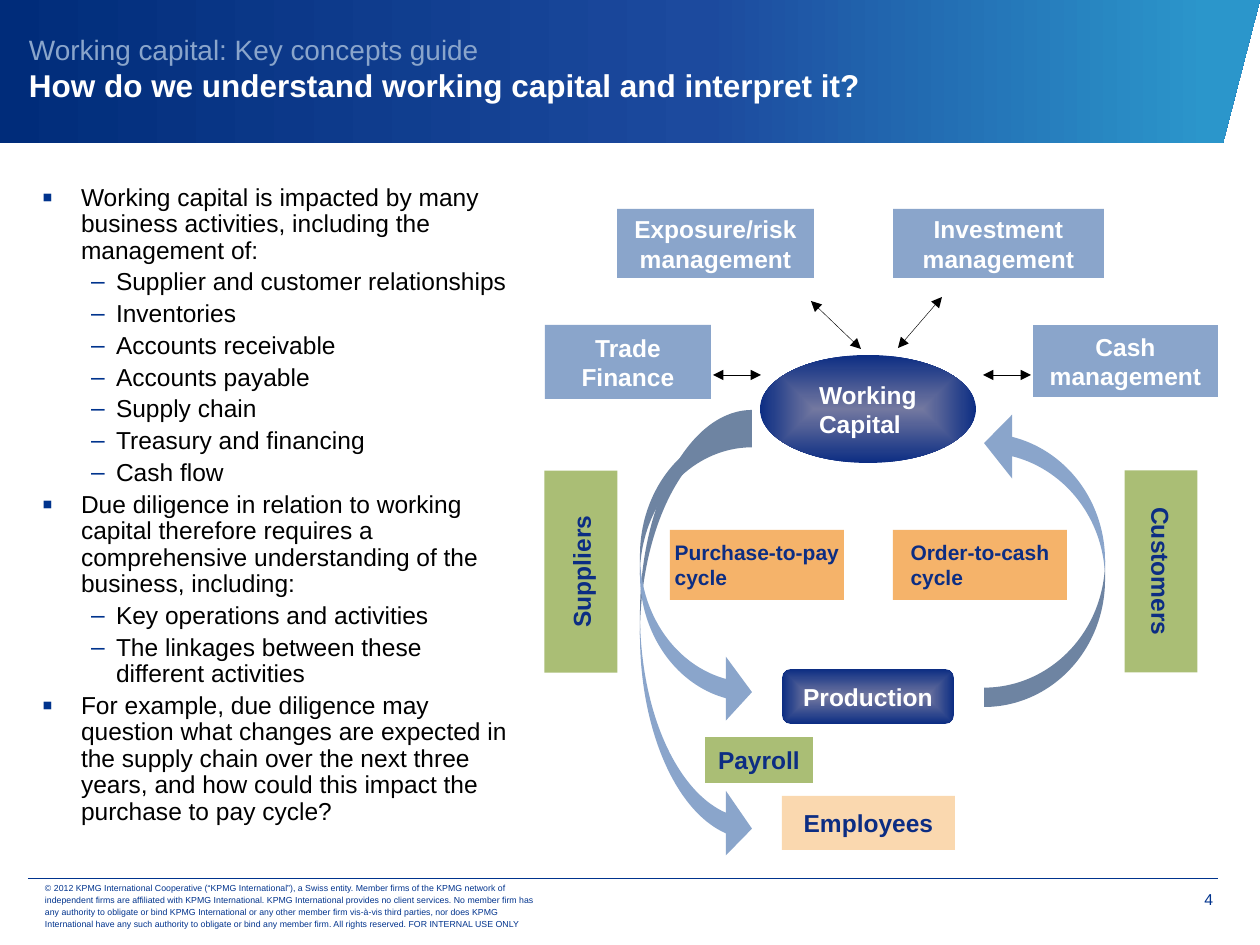
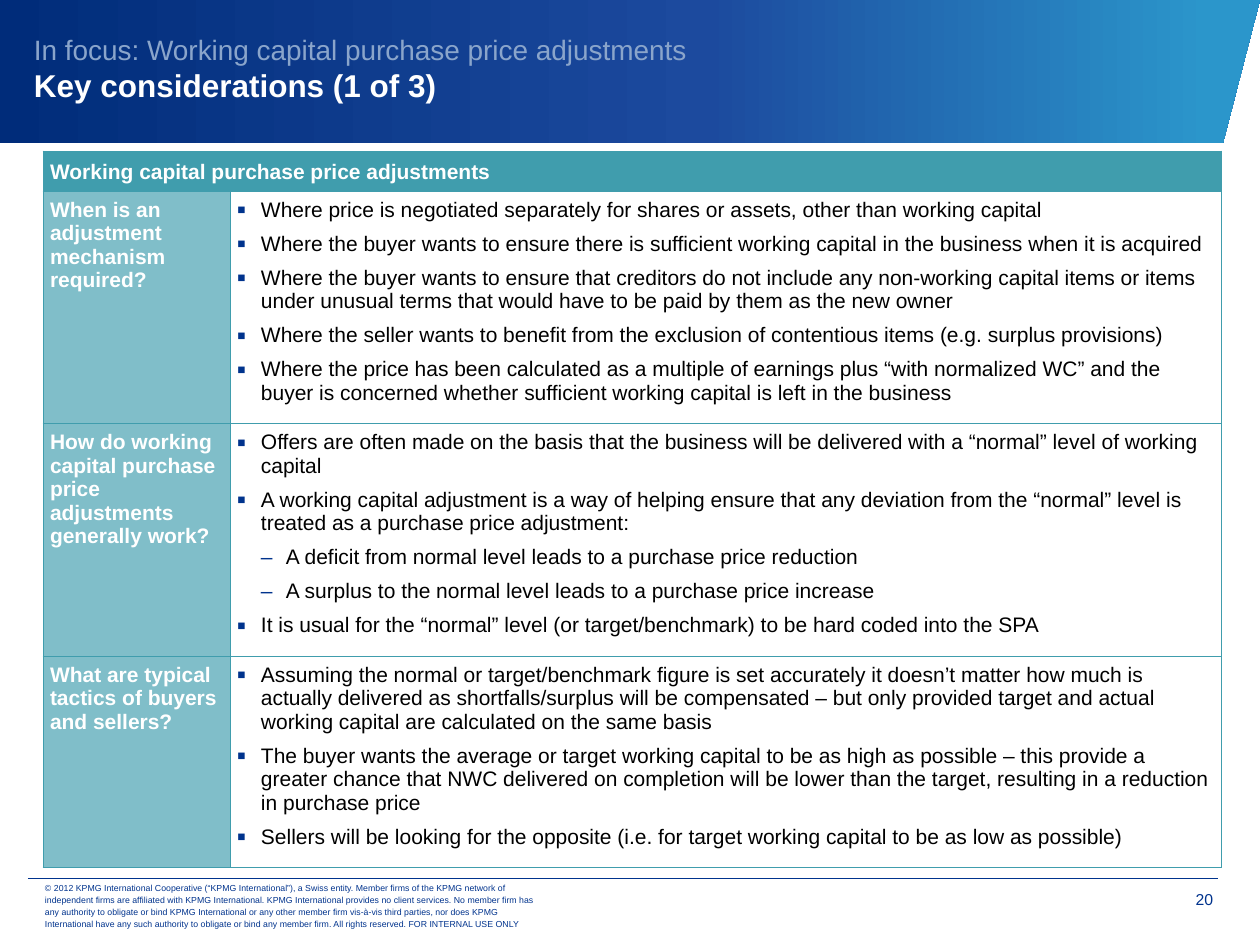
"""Build two slides on working capital: a concept diagram and a table of considerations."""
from dataclasses import dataclass
from typing import Any, NamedTuple, Optional

from lxml import etree
from pptx import Presentation, util as u
from pptx.dml import color
from pptx.enum import shapes, text
from pptx.oxml import ns, parse_xml

PX = 914400 / 126
KIND = shapes.MSO_SHAPE
LEFT, CENTER, RIGHT = text.PP_ALIGN.LEFT, text.PP_ALIGN.CENTER, text.PP_ALIGN.RIGHT
TOP, MIDDLE, BOTTOM = text.MSO_ANCHOR.TOP, text.MSO_ANCHOR.MIDDLE, text.MSO_ANCHOR.BOTTOM


@dataclass(frozen=True)
class Theme:
    font: str = "Arial"
    navy: str = "0C2D83"
    corporate: str = "00338D"
    sky: str = "8AA5CB"
    green: str = "AABE75"
    orange: str = "F5B36A"
    peach: str = "FAD8AF"
    teal: str = "409DAD"
    pale_teal: str = "80BEC9"
    white: str = "FFFFFF"
    black: str = "000000"
    band: tuple = ((0, "002C7A"), (56, "1C4A9E"), (96, "2B96CB"))
    glow: tuple = ((0, "7378A0"), (100, "0C2D83"))
    band_direction: str = '<a:lin ang="0" scaled="0"/>'
    glow_direction: str = ('<a:path path="shape"><a:fillToRect l="50000" t="50000" '
                           'r="50000" b="50000"/></a:path>')
    title: int = 18
    section: int = 16
    body: int = 14
    small: int = 12
    page: int = 9
    legal: int = 5


THEME = Theme()


class Box(NamedTuple):
    left: int
    top: int
    width: int
    height: int


class Bullet(NamedTuple):
    char: str
    margin: int
    hang: int
    percent: int = 100


class Point(NamedTuple):
    words: str
    level: int = 0


@dataclass(frozen=True)
class Label:
    words: str
    box: Box
    fill: Optional[str]
    ink: str = THEME.navy
    size: int = THEME.body
    align: Any = LEFT
    kind: Any = KIND.RECTANGLE
    turn: int = 0


@dataclass(frozen=True)
class CycleArrow:
    box: Box
    flip: str
    adjustments: tuple


class Topic(NamedTuple):
    question: str
    points: list
    height: int


BODY_BULLETS = (Bullet("▪", 39, 39, 125), Bullet("–", 74, 25))
TABLE_BULLETS = (Bullet("▪", 24, 24, 125), Bullet("–", 49, 25))

LEGAL = (
    "© 2012 KPMG International Cooperative (“KPMG International”), a Swiss entity. Member firms of the "
    "KPMG network of independent firms are affiliated with KPMG International. KPMG International provides "
    "no client services. No member firm has any authority to obligate or bind KPMG International or any "
    "other member firm vis-à-vis third parties, nor does KPMG International have any such authority to "
    "obligate or bind any member firm. All rights reserved. FOR INTERNAL USE ONLY")

ACTIVITIES = [
    Point("Working capital is impacted by many business activities, including the management of:"),
    Point("Supplier and customer relationships", 1),
    Point("Inventories", 1),
    Point("Accounts receivable", 1),
    Point("Accounts payable", 1),
    Point("Supply chain", 1),
    Point("Treasury and financing", 1),
    Point("Cash flow", 1),
    Point("Due diligence in relation to working capital therefore requires a comprehensive "
          "understanding of the business, including:"),
    Point("Key operations and activities", 1),
    Point("The linkages between these different activities", 1),
    Point("For example, due diligence may question what changes are expected in the supply chain over "
          "the next three years, and how could this impact the purchase to pay cycle?"),
]

CYCLE_ARROWS = [
    CycleArrow(Box(984, 411, 121, 296), "flipH", (0.16, 0.53, 0.233)),
    CycleArrow(Box(640, 410, 112, 451), "flipV", (0.184, 0.576, 0.233)),
    CycleArrow(Box(640, 428, 112, 296), "flipV", (0.172, 0.57, 0.233)),
]

LABELS = [
    Label("Payroll", Box(705, 737, 108, 46), THEME.green),
    Label("Production", Box(782, 669, 172, 55), None, THEME.white, kind=KIND.ROUNDED_RECTANGLE),
    Label("Working Capital", Box(760, 355, 216, 108), None, THEME.white, kind=KIND.OVAL),
    Label("Employees", Box(782, 796, 173, 54), THEME.peach),
    Label("Customers", Box(1060, 535, 202, 73), THEME.green, turn=90),
    Label("Suppliers", Box(480, 535, 202, 73), THEME.green, turn=270),
    Label("Purchase-to-pay\ncycle", Box(670, 530, 174, 70), THEME.orange, size=THEME.small),
    Label("Order-to-cash\ncycle", Box(893, 530, 174, 70), THEME.orange, size=THEME.small),
    Label("Exposure/risk management", Box(617, 209, 197, 69), THEME.sky, THEME.white, align=CENTER),
    Label("Investment management", Box(893, 209, 211, 69), THEME.sky, THEME.white, align=CENTER),
    Label("Trade\nFinance", Box(545, 325, 166, 74), THEME.sky, THEME.white, align=CENTER),
    Label("Cash\nmanagement", Box(1033, 325, 185, 72), THEME.sky, THEME.white, align=CENTER),
]

LINKS = [(861, 349, 811, 301), (1031, 375, 983, 375), (898, 348, 942, 297), (761, 375, 713, 375)]

TABLE_TITLE = "Working capital purchase price adjustments"
TOPICS = [
    Topic("When is an adjustment mechanism required?", [
        Point("Where price is negotiated separately for shares or assets, other than working capital"),
        Point("Where the buyer wants to ensure there is sufficient working capital in the business when "
              "it is acquired"),
        Point("Where the buyer wants to ensure that creditors do not include any non-working capital items "
              "or items under unusual terms that would have to be paid by them as the new owner"),
        Point("Where the seller wants to benefit from the exclusion of contentious items (e.g. surplus "
              "provisions)"),
        Point("Where the price has been calculated as a multiple of earnings plus “with normalized WC” and "
              "the buyer is concerned whether sufficient working capital is left in the business"),
    ], 222),
    Topic("How do working capital purchase price adjustments generally work?", [
        Point("Offers are often made on the basis that the business will be delivered with a “normal” level "
              "of working capital"),
        Point("A working capital adjustment is a way of helping ensure that any deviation from the “normal” "
              "level is treated as a purchase price adjustment:"),
        Point("A deficit from normal level leads to a purchase price reduction", 1),
        Point("A surplus to the normal level leads to a purchase price increase", 1),
        Point("It is usual for the “normal” level (or target/benchmark) to be hard coded into the SPA"),
    ], 221),
    Topic("What are typical tactics of buyers and sellers?", [
        Point("Assuming the normal or target/benchmark figure is set accurately it doesn’t matter how much "
              "is actually delivered as shortfalls/surplus will be compensated – but only provided target "
              "and actual working capital are calculated on the same basis"),
        Point("The buyer wants the average or target working capital to be as high as possible – this "
              "provide a greater chance that NWC delivered on completion will be lower than the target, "
              "resulting in a reduction in purchase price"),
        Point("Sellers will be looking for the opposite (i.e. for target working capital to be as low as "
              "possible)"),
    ], 201),
]


def emu(*lengths: int) -> list:
    """Turn px lengths into EMU."""
    return [u.Emu(round(length * PX)) for length in lengths]


def rgb(code: str) -> color.RGBColor:
    """Read a hex colour."""
    return color.RGBColor.from_string(code)


def add_child(parent: Any, tag: str, **attributes: Any) -> Any:
    """Append a DrawingML element and return it."""
    return etree.SubElement(parent, ns.qn(tag), {key: str(value) for key, value in attributes.items()})


def fill_gradient(shape: Any, stops: tuple, direction: str) -> None:
    """Fill a shape with colour stops running in the given direction."""
    marks = "".join(f'<a:gs pos="{at * 1000}"><a:srgbClr val="{code}"/></a:gs>' for at, code in stops)
    shape.fill.background()
    blank = shape._element.spPr.find(ns.qn("a:noFill"))
    gradient = parse_xml(f'<a:gradFill {ns.nsdecls("a")} rotWithShape="1"><a:gsLst>{marks}</a:gsLst>'
                         f'{direction}</a:gradFill>')
    blank.getparent().replace(blank, gradient)


def set_bullet(paragraph: Any, bullet: Bullet) -> None:
    """Give a paragraph a hanging bullet."""
    properties = paragraph._p.get_or_add_pPr()
    margin, hang = emu(bullet.margin, bullet.hang)
    properties.set("marL", str(margin))
    properties.set("indent", str(-hang))
    add_child(add_child(properties, "a:buClr"), "a:srgbClr", val=THEME.corporate)
    add_child(properties, "a:buSzPct", val=bullet.percent * 1000)
    add_child(properties, "a:buFont", typeface=THEME.font)
    add_child(properties, "a:buChar", char=bullet.char)


def write(frame: Any, words: str, *, size: int, ink: str, bold: bool = False, align: Any = LEFT,
          before: int = 0, spacing: Any = None, bullet: Optional[Bullet] = None) -> None:
    """Add each line of words to a frame as a formatted paragraph."""
    for line in words.split("\n"):
        first = not frame.paragraphs[0].runs
        paragraph = frame.paragraphs[0] if first else frame.add_paragraph()
        if bullet:
            set_bullet(paragraph, bullet)
        paragraph.alignment = align
        paragraph.space_before = u.Pt(0 if first else before)
        if spacing:
            paragraph.line_spacing = spacing
        run = paragraph.add_run()
        run.text = line
        run.font.name, run.font.size, run.font.bold = THEME.font, u.Pt(size), bold
        run.font.color.rgb = rgb(ink)


def write_points(frame: Any, points: list, bullets: tuple, **style: Any) -> None:
    """Write points with the bullet of their level."""
    for point in points:
        write(frame, point.words, bullet=bullets[point.level], ink=THEME.black, **style)


def set_frame(frame: Any, anchor: Any, across: int = 0, down: int = 0) -> Any:
    """Wrap, anchor and inset a text frame."""
    frame.word_wrap, frame.vertical_anchor = True, anchor
    frame.margin_left, frame.margin_right, frame.margin_top, frame.margin_bottom = emu(
        across, across, down, down)
    return frame


def add_text(slide: Any, box: Box, anchor: Any, across: int = 0, down: int = 0) -> Any:
    """Add a text box and return its frame."""
    return set_frame(slide.shapes.add_textbox(*emu(*box)).text_frame, anchor, across, down)


def add_line(slide: Any, ends: tuple, ink: str, arrows: bool = False) -> None:
    """Draw a hairline, with arrowheads at both ends if asked."""
    line = slide.shapes.add_connector(shapes.MSO_CONNECTOR.STRAIGHT, *emu(*ends))
    line.line.color.rgb, line.line.width = rgb(ink), u.Pt(0.25)
    if arrows:
        for tag in ("a:headEnd", "a:tailEnd"):
            add_child(line.line._get_or_add_ln(), tag, type="triangle")
    add_child(line._element.spPr, "a:effectLst")


def add_shape(slide: Any, kind: Any, box: Box, fill: Optional[str]) -> Any:
    """Add an unlined shape in a flat colour, or with the navy glow."""
    shape = slide.shapes.add_shape(kind, *emu(*box))
    shape.shadow.inherit = False
    shape.line.fill.background()
    if fill:
        shape.fill.solid()
        shape.fill.fore_color.rgb = rgb(fill)
    else:
        fill_gradient(shape, THEME.glow, THEME.glow_direction)
    return shape


def add_label(slide: Any, label: Label) -> None:
    """Draw a labelled part of the diagram."""
    shape = add_shape(slide, label.kind, label.box, label.fill)
    shape.rotation = label.turn
    frame = set_frame(shape.text_frame, MIDDLE)
    if label.align == LEFT:
        frame._txBody.bodyPr.set("anchorCtr", "1")
    write(frame, label.words, size=label.size, ink=label.ink, bold=True, align=label.align)


def add_cycle_arrow(slide: Any, arrow: CycleArrow) -> None:
    """Draw a curved arrow of the cycle."""
    shape = add_shape(slide, KIND.CURVED_LEFT_ARROW, arrow.box, THEME.sky)
    shape.rotation = 180
    shape._element.spPr.xfrm.set(arrow.flip, "1")
    for index, value in enumerate(arrow.adjustments):
        shape.adjustments[index] = value


def start_slide(deck: Any, section: str, title: str, page: str, title_left: int) -> Any:
    """Add a slide with band, title and footer."""
    slide = deck.slides.add_slide(deck.slide_layouts[6])
    outline = slide.shapes.build_freeform(0, 0, scale=PX)
    outline.add_line_segments([(1260, 0), (1223, 143), (0, 143)], close=True)
    band = outline.convert_to_shape()
    band.shadow.inherit = False
    band.line.fill.background()
    fill_gradient(band, THEME.band, THEME.band_direction)
    heading = add_text(slide, Box(title_left, 10, 1200, 116), MIDDLE)
    write(heading, section, size=THEME.section, ink=THEME.sky)
    write(heading, title, size=THEME.title, ink=THEME.white, bold=True)
    add_line(slide, (28, 878, 1218, 878), THEME.corporate)
    write(add_text(slide, Box(45, 883, 498, 44), MIDDLE), LEGAL, size=THEME.legal,
          ink=THEME.corporate, spacing=u.Pt(7))
    write(add_text(slide, Box(1144, 890, 69, 29), TOP), page, size=THEME.page,
          ink=THEME.corporate, align=RIGHT)
    return slide


def style_cell(cell: Any, fill: str, anchor: Any = TOP) -> Any:
    """Fill, border and inset a cell, and return its frame."""
    cell.fill.solid()
    cell.fill.fore_color.rgb = rgb(fill)
    properties = cell._tc.get_or_add_tcPr()
    for index, side in enumerate("LRTB"):
        border = add_child(properties, f"a:ln{side}", w=u.Pt(0.5))
        add_child(add_child(border, "a:solidFill"), "a:srgbClr", val=THEME.teal)
        properties.insert(index, border)
    cell.margin_left, cell.margin_right, cell.margin_top, cell.margin_bottom = emu(7, 7, 7, 7)
    cell.vertical_anchor = anchor
    return cell.text_frame


def add_topics(slide: Any, corner: tuple, widths: tuple, title_height: int) -> None:
    """Draw the table of topics."""
    heights = [title_height] + [topic.height for topic in TOPICS]
    box = Box(*corner, sum(widths), sum(heights))
    table = slide.shapes.add_table(len(heights), len(widths), *emu(*box)).table
    table.first_row = table.horz_banding = False
    for column, width in zip(table.columns, emu(*widths)):
        column.width = width
    for row, height in zip(table.rows, emu(*heights)):
        row.height = height
    head = dict(size=THEME.small, ink=THEME.white, bold=True)
    table.cell(0, 0).merge(table.cell(0, 1))
    style_cell(table.cell(0, 1), THEME.teal)
    write(style_cell(table.cell(0, 0), THEME.teal, BOTTOM), TABLE_TITLE, **head)
    for row, topic in enumerate(TOPICS, 1):
        write(style_cell(table.cell(row, 0), THEME.pale_teal), topic.question, **head)
        write_points(style_cell(table.cell(row, 1), THEME.white), topic.points, TABLE_BULLETS,
                     size=THEME.small, before=6)


def main() -> None:
    """Build and save the deck."""
    deck = Presentation()
    deck.slide_width, deck.slide_height = emu(1260, 945)
    concepts = start_slide(deck, "Working capital: Key concepts guide",
                           "How do we understand working capital and interpret it?", "4", 29)
    write_points(add_text(concepts, Box(29, 179, 496, 693), TOP, 13, 6), ACTIVITIES, BODY_BULLETS,
                 size=THEME.body, before=3, spacing=0.9)
    for arrow in CYCLE_ARROWS:
        add_cycle_arrow(concepts, arrow)
    for label in LABELS:
        add_label(concepts, label)
    for ends in LINKS:
        add_line(concepts, ends, THEME.black, arrows=True)
    considerations = start_slide(deck, "In focus: Working capital purchase price adjustments",
                                 "Key considerations (1 of 3)", "20", 34)
    add_topics(considerations, (43, 151), (187, 991), 40)
    deck.save("out.pptx")


if __name__ == "__main__":
    main()
